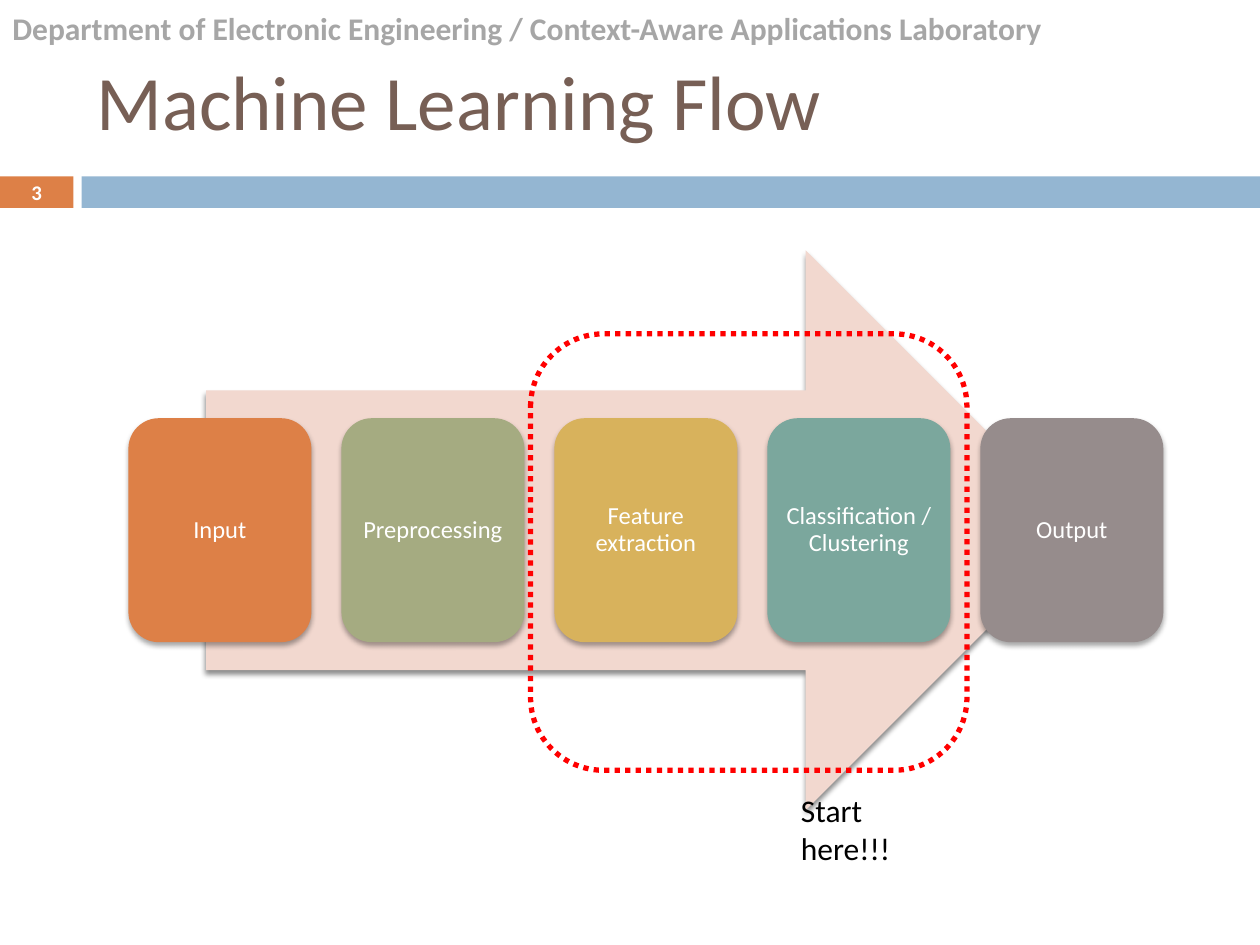
from lxml import etree
from pptx import Presentation
from pptx import util as u
from pptx.dml.color import RGBColor
from pptx.enum import dml, shapes, text
from pptx.oxml import ns

Pt = u.Pt
SHAPE = shapes.MSO_SHAPE
ALIGN = text.PP_ALIGN
MIDDLE = text.MSO_ANCHOR.MIDDLE


def color(value):
    return RGBColor.from_string(value)


class FlowPage:
    font = "Calibri"

    def __init__(self, page):
        self.page = page

    def put_text(self, box, wording, size, ink, bold=False, align=ALIGN.LEFT,
                 anchor=text.MSO_ANCHOR.TOP, wrap=True):
        frame = box.text_frame
        frame.text = wording
        frame.word_wrap = wrap
        frame.vertical_anchor = anchor
        para = frame.paragraphs[0]
        para.alignment = align
        for span in para.runs:
            span.font.name = self.font
            span.font.size = Pt(size)
            span.font.bold = bold
            span.font.color.rgb = color(ink)
        return para

    def label(self, bounds, wording, size, ink, **style):
        box = self.page.shapes.add_textbox(*map(Pt, bounds))
        self.put_text(box, wording, size, ink, **style)
        return box

    def block(self, kind, bounds, fill=None):
        box = self.page.shapes.add_shape(kind, *map(Pt, bounds))
        box.shadow.inherit = False
        box.line.fill.background()
        if fill:
            box.fill.solid()
            box.fill.fore_color.rgb = color(fill)
        else:
            box.fill.background()
        return box

    def drop_shadow(self, box, opacity, distance):
        effects = box._element.spPr.find(ns.qn("a:effectLst"))
        shadow = etree.SubElement(
            effects, ns.qn("a:outerShdw"), blurRad=str(Pt(3)),
            dist=str(Pt(distance)), dir="5400000", rotWithShape="0")
        ink = etree.SubElement(shadow, ns.qn("a:srgbClr"), val="000000")
        etree.SubElement(ink, ns.qn("a:alpha"), val=str(opacity * 1000))

    def step(self, bounds, wording, fill):
        box = self.block(SHAPE.ROUNDED_RECTANGLE, bounds, fill)
        self.drop_shadow(box, 35, 2)
        para = self.put_text(box, wording, 14, "FFFFFF",
                             align=ALIGN.CENTER, anchor=MIDDLE)
        para.line_spacing = 0.9
        frame = box.text_frame
        frame.margin_left = frame.margin_right = Pt(4.2)
        frame.margin_top = frame.margin_bottom = Pt(4.2)

    def dotted_frame(self, bounds, ink):
        box = self.block(SHAPE.ROUNDED_RECTANGLE, bounds)
        box.line.color.rgb = color(ink)
        box.line.width = Pt(3)
        box.line.dash_style = dml.MSO_LINE.ROUND_DOT


def main():
    deck = Presentation()
    deck.slide_width, deck.slide_height = Pt(720), Pt(540)
    flow = FlowPage(deck.slides.add_slide(deck.slide_layouts[6]))

    # Header, title and page number
    flow.block(SHAPE.RECTANGLE, (46.6, 100.8, 673.4, 18), "94B6D2")
    number = flow.block(SHAPE.RECTANGLE, (0, 100.8, 42, 18), "DD8047")
    flow.put_text(number, "3", 11.9, "FFFFFF", bold=True,
                  align=ALIGN.CENTER, anchor=MIDDLE)
    flow.label((0, 1.4, 607, 29),
               "Department of Electronic Engineering / "
               "Context-Aware Applications Laboratory",
               18, "A6A6A6", bold=True, wrap=False)
    flow.label((48, 18, 642, 78), "Machine Learning Flow", 44, "775F55",
               anchor=MIDDLE)

    # Arrow behind the steps
    arrow = flow.block(SHAPE.RIGHT_ARROW, (117.8, 143, 502.6, 320), "F2D8CF")
    flow.drop_shadow(arrow, 45, 2.4)

    # Steps, evenly spaced
    steps = [
        ("Input", "DD8047"),
        ("Preprocessing", "A5AB81"),
        ("Feature extraction", "D8B25C"),
        ("Classification / Clustering", "7BA79D"),
        ("Output", "968C8C"),
    ]
    left, pitch = 73.4, 121.7
    for index, (wording, fill) in enumerate(steps):
        flow.step((left + index * pitch, 239, 104.6, 128), wording, fill)

    # Highlighted starting point
    flow.dotted_frame((303.2, 190.8, 249.4, 249.4), "FF0000")
    start = flow.label((450.6, 448.6, 102.2, 29), "Start here!!!", 18, "000000")
    start.text_frame.margin_right = Pt(14)

    deck.save("out.pptx")


if __name__ == "__main__":
    main()
